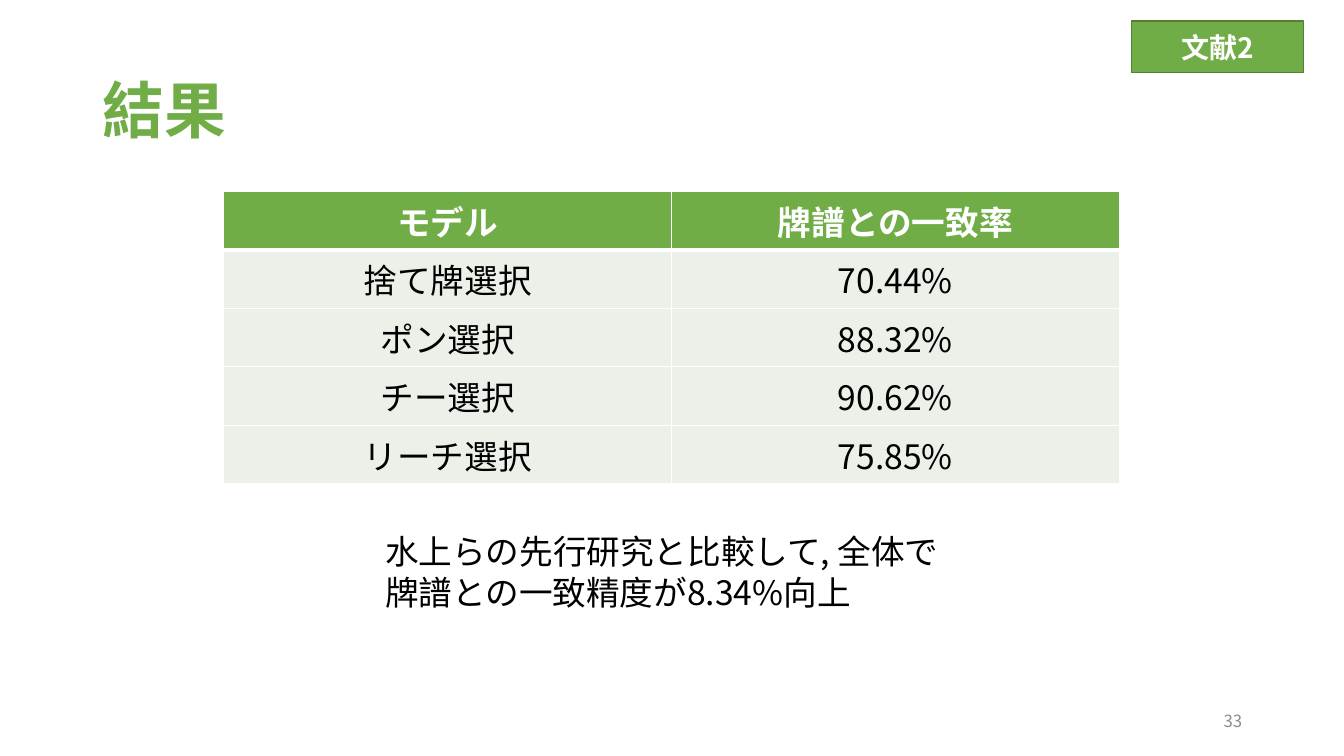
from dataclasses import dataclass

from lxml import etree
from pptx import Presentation
from pptx.dml.color import RGBColor
from pptx.enum.shapes import MSO_SHAPE
from pptx.enum.text import MSO_ANCHOR, PP_ALIGN
from pptx.oxml.ns import qn
from pptx.slide import Slide
from pptx.table import _Cell
from pptx.text.text import TextFrame
from pptx.util import Inches, Pt

RECTANGLE = MSO_SHAPE.RECTANGLE
TOP, MIDDLE = MSO_ANCHOR.TOP, MSO_ANCHOR.MIDDLE
LEFT, CENTER, RIGHT = PP_ALIGN.LEFT, PP_ALIGN.CENTER, PP_ALIGN.RIGHT

FONT = "Noto Sans CJK JP"
GREEN, DARK_GREEN, PALE_GREEN = "70AD47", "538035", "EBF1E9"
WHITE, BLACK, GRAY = "FFFFFF", "000000", "8C8C8C"


@dataclass
class Style:
    size: float
    color: str
    bold: bool = False
    align: PP_ALIGN = LEFT
    anchor: MSO_ANCHOR = TOP
    spacing: float = 1.0


@dataclass
class Label:
    text: str
    left: float
    top: float
    width: float
    height: float
    style: Style


HEADER_STYLE = Style(24, WHITE, bold=True, align=CENTER)
BODY_STYLE = Style(24, BLACK, align=CENTER)
BADGE = Label("文献2", 11.22, 0.21, 1.71, 0.51,
              Style(20, WHITE, bold=True, align=CENTER, anchor=MIDDLE))
LABELS = [
    Label("結果", 0.92, 0.4, 11.5, 1.45,
          Style(44, GREEN, bold=True, anchor=MIDDLE, spacing=0.9)),
    Label("33", 9.42, 6.95, 3, 0.4,
          Style(12, GRAY, align=RIGHT, anchor=MIDDLE)),
    Label("水上らの先行研究と比較して, 全体で牌譜との一致精度が8.34%向上",
          3.72, 5.22, 5.89, 0.91, Style(24, BLACK)),
]
RESULTS = [
    ("モデル", "牌譜との一致率"),
    ("捨て牌選択", "70.44%"),
    ("ポン選択", "88.32%"),
    ("チー選択", "90.62%"),
    ("リーチ選択", "75.85%"),
]


def rgb(color: str) -> RGBColor:
    return RGBColor.from_string(color)


def write(frame: TextFrame, text: str, style: Style) -> None:
    frame.text = text
    frame.word_wrap = True
    frame.vertical_anchor = style.anchor
    para = frame.paragraphs[0]
    para.alignment = style.align
    para.line_spacing = style.spacing
    font = para.runs[0].font
    font.name = FONT
    font.size = Pt(style.size)
    font.bold = style.bold
    font.color.rgb = rgb(style.color)
    # East Asian glyphs need their own typeface entry
    etree.SubElement(font._element, qn("a:ea"), typeface=FONT)


def add_label(slide: Slide, label: Label) -> None:
    box = slide.shapes.add_textbox(Inches(label.left), Inches(label.top),
                                   Inches(label.width), Inches(label.height))
    write(box.text_frame, label.text, label.style)


def add_badge(slide: Slide, badge: Label) -> None:
    box = slide.shapes.add_shape(RECTANGLE, Inches(badge.left), Inches(badge.top),
                                 Inches(badge.width), Inches(badge.height))
    box.shadow.inherit = False
    box.fill.solid()
    box.fill.fore_color.rgb = rgb(GREEN)
    box.line.color.rgb = rgb(DARK_GREEN)
    box.line.width = Pt(1)
    write(box.text_frame, badge.text, badge.style)


def set_borders(cell: _Cell, top: float, bottom: float) -> None:
    properties = cell._tc.get_or_add_tcPr()
    for side, width in (("L", 1), ("R", 1), ("T", top), ("B", bottom)):
        line = etree.SubElement(properties, qn(f"a:ln{side}"), w=str(Pt(width)))
        fill = etree.SubElement(line, qn("a:solidFill"))
        etree.SubElement(fill, qn("a:srgbClr"), val=WHITE)


def add_results(slide: Slide) -> None:
    row_height = 0.58
    frame = slide.shapes.add_table(len(RESULTS), 2, Inches(2.22), Inches(1.9),
                                   Inches(8.88), Inches(row_height * len(RESULTS)))
    table = frame.table
    for row, values in enumerate(RESULTS):
        for column, value in enumerate(values):
            cell = table.cell(row, column)
            is_header = row == 0
            # The rule under the header is heavier than the others
            set_borders(cell, top=3 if row == 1 else 1, bottom=3 if is_header else 1)
            cell.fill.solid()
            cell.fill.fore_color.rgb = rgb(GREEN if is_header else PALE_GREEN)
            write(cell.text_frame, value, HEADER_STYLE if is_header else BODY_STYLE)


def main() -> None:
    deck = Presentation()
    deck.slide_width, deck.slide_height = Inches(13.33), Inches(7.5)
    page = deck.slides.add_slide(deck.slide_layouts[6])

    # Title, page number and conclusion
    for label in LABELS:
        add_label(page, label)

    # Agreement rate of each model
    add_results(page)

    # Reference badge in the corner
    add_badge(page, BADGE)

    deck.save("out.pptx")


if __name__ == "__main__":
    main()
